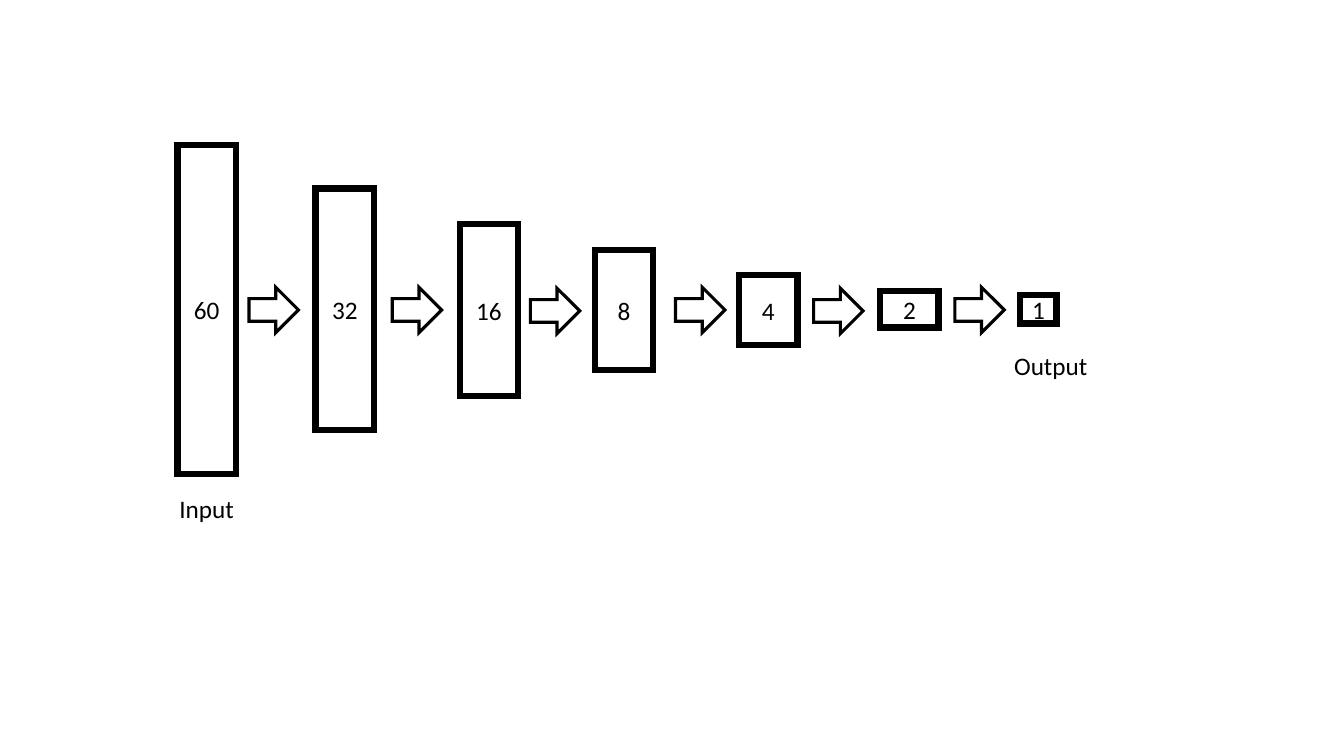
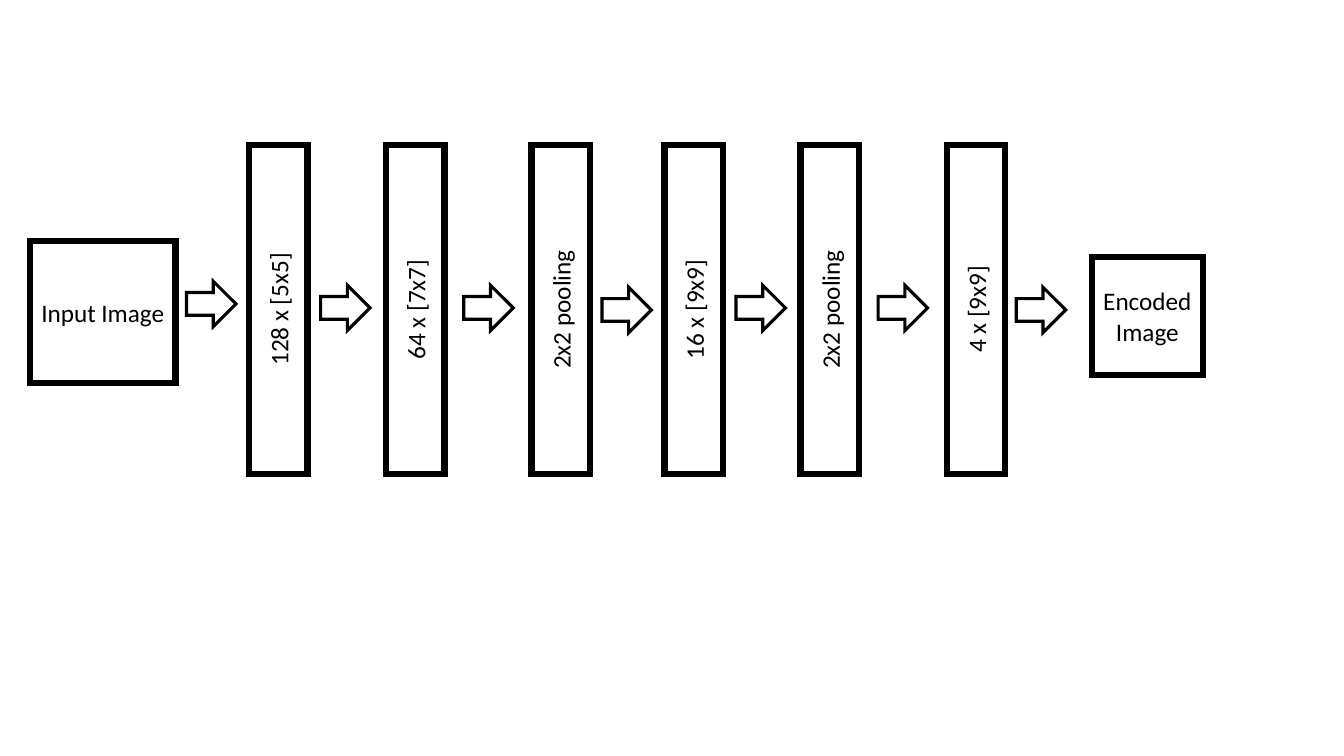
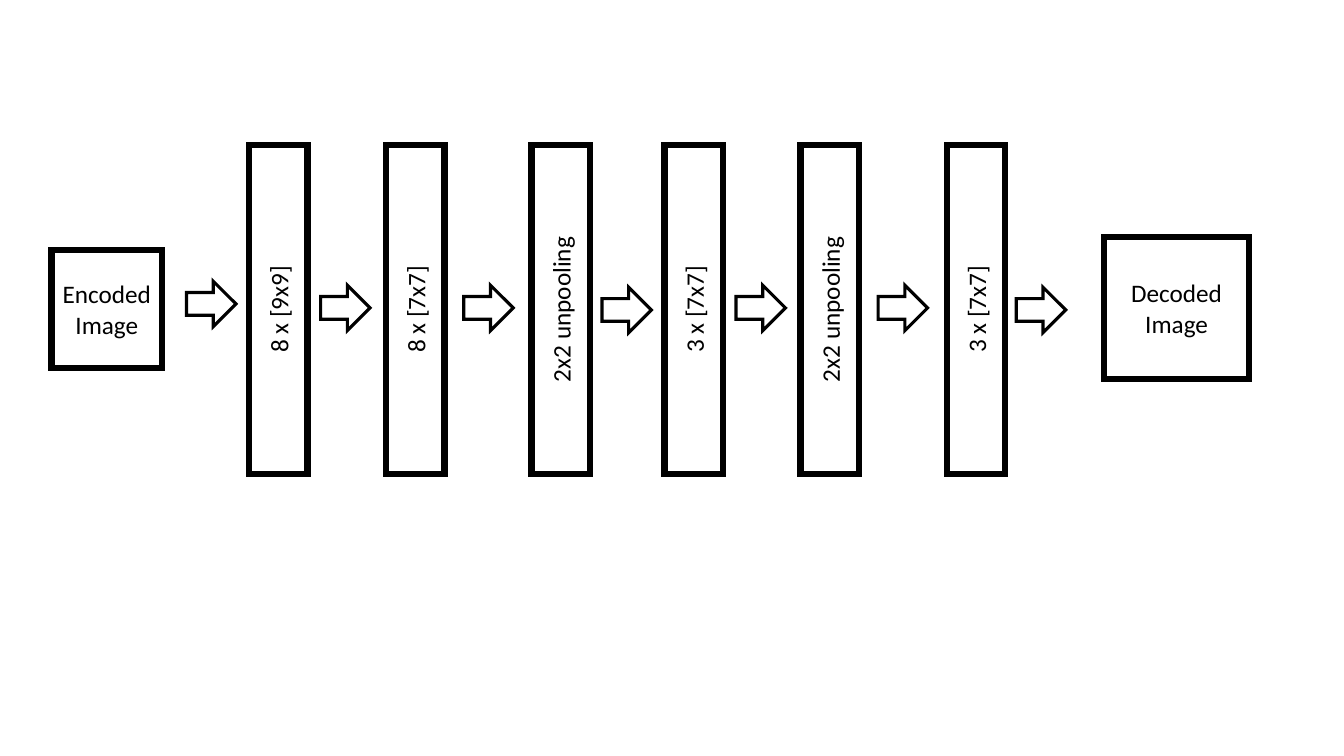
"""Builds three network diagrams: a dense classifier, an encoder and a decoder."""
from lxml import etree
from pptx import Presentation
from pptx.dml.color import RGBColor
from pptx.enum.shapes import MSO_SHAPE
from pptx.enum.text import MSO_ANCHOR, MSO_AUTO_SIZE, PP_ALIGN
from pptx.oxml.ns import qn
from pptx.util import Emu, Pt

RECTANGLE = MSO_SHAPE.RECTANGLE
RIGHT_ARROW = MSO_SHAPE.RIGHT_ARROW
MIDDLE = MSO_ANCHOR.MIDDLE
FIT_SHAPE = MSO_AUTO_SIZE.SHAPE_TO_FIT_TEXT
LEFT, CENTER = PP_ALIGN.LEFT, PP_ALIGN.CENTER

EMU_PER_PX = 9144
AXIS = 307
LAYER_WIDTH, LAYER_HEIGHT = 58, 326
ARROW_WIDTH, ARROW_HEIGHT = 49, 45
PICTURE_SIZE = (144, 141)
CODE_SIZE = (110, 117)
DENSE_LAYERS = [
    ("60", 176, 58, 326), ("32", 313, 58, 240), ("16", 456, 58, 171),
    ("8", 590, 58, 119), ("4", 733, 58, 69), ("2", 873, 58, 36),
    ("1", 1012, 36, 28),
]
DENSE_ARROWS = [(247, 285), (389, 285), (526, 286),
                (670, 285), (807, 286), (947, 285)]
LAYER_LEFTS = [247, 383, 527, 659, 794, 939]
LAYER_TOP = 144
LAYER_ARROWS = [(185, 279), (318, 283), (460, 283), (597, 285),
                (730, 283), (871, 283), (1008, 285)]


def px(length):
    return Emu(length * EMU_PER_PX)


def color(hex_text):
    return RGBColor.from_string(hex_text)


def write(frame, text, font="Calibri", size=18, ink="000000", align=LEFT):
    for index, line in enumerate(text.split("\n")):
        para = frame.add_paragraph() if index else frame.paragraphs[0]
        para.alignment = align
        span = para.add_run()
        span.text = line
        span.font.name = font
        span.font.size = Pt(size)
        span.font.color.rgb = color(ink)


class Diagram:
    ink = "000000"
    paper = "FFFFFF"
    box_line = 4.5
    arrow_line = 2.25

    def __init__(self):
        self.deck = Presentation()
        self.deck.slide_width = px(1333)
        self.deck.slide_height = px(750)
        self.page = None

    def new_page(self):
        self.page = self.deck.slides.add_slide(self.deck.slide_layouts[6])

    def outline(self, kind, left, top, width, height, weight):
        shape = self.page.shapes.add_shape(
            kind, px(left), px(top), px(width), px(height))
        shape.shadow.inherit = False
        shape.line.color.rgb = color(self.ink)
        shape.line.width = Pt(weight)
        border = shape._element.spPr.get_or_add_ln()
        etree.SubElement(border, qn("a:miter"), lim="800000")
        return shape

    def box(self, text, left, top, width, height, upward=False):
        box = self.outline(RECTANGLE, left, top, width, height, self.box_line)
        box.fill.solid()
        box.fill.fore_color.rgb = color(self.paper)
        frame = box.text_frame
        frame.word_wrap = True
        frame.vertical_anchor = MIDDLE
        if upward:
            frame._txBody.bodyPr.set("vert", "vert270")
        write(frame, text, ink=self.ink, align=CENTER)

    def arrows(self, places):
        for left, top in places:
            arrow = self.outline(RIGHT_ARROW, left, top, ARROW_WIDTH,
                                 ARROW_HEIGHT, self.arrow_line)
            arrow.fill.background()

    def label(self, text, left, top, width, height=40):
        box = self.page.shapes.add_textbox(
            px(left), px(top), px(width), px(height))
        box.text_frame.word_wrap = False
        box.text_frame.auto_size = FIT_SHAPE
        write(box.text_frame, text, ink=self.ink)

    def dense_page(self):
        self.new_page()
        for text, left, width, height in DENSE_LAYERS:
            self.box(text, left, AXIS - height // 2, width, height)
        self.arrows(DENSE_ARROWS)
        self.label("Input", 168, 484, 75)
        self.label("Output", 996, 343, 94)

    def layer_page(self, layers, source, result):
        self.new_page()
        for text, left in zip(layers, LAYER_LEFTS):
            self.box(text, left, LAYER_TOP, LAYER_WIDTH, LAYER_HEIGHT,
                     upward=True)
        self.arrows(LAYER_ARROWS)
        for text, left, top, size in (source, result):
            self.box(text, left, top, *size)


def main():
    diagram = Diagram()
    diagram.dense_page()
    diagram.layer_page(
        ["128 x [5x5]", "64 x [7x7]", "2x2 pooling",
         "16 x [9x9]", "2x2 pooling", "4 x [9x9]"],
        source=("Input Image", 30, 239, PICTURE_SIZE),
        result=("Encoded Image", 1083, 255, CODE_SIZE))
    diagram.layer_page(
        ["8 x [9x9]", "8 x [7x7]", "2x2 unpooling",
         "3 x [7x7]", "2x2 unpooling", "3 x [7x7]"],
        source=("Encoded Image", 51, 248, CODE_SIZE),
        result=("Decoded\nImage", 1095, 235, PICTURE_SIZE))
    diagram.deck.save("out.pptx")


if __name__ == "__main__":
    main()
